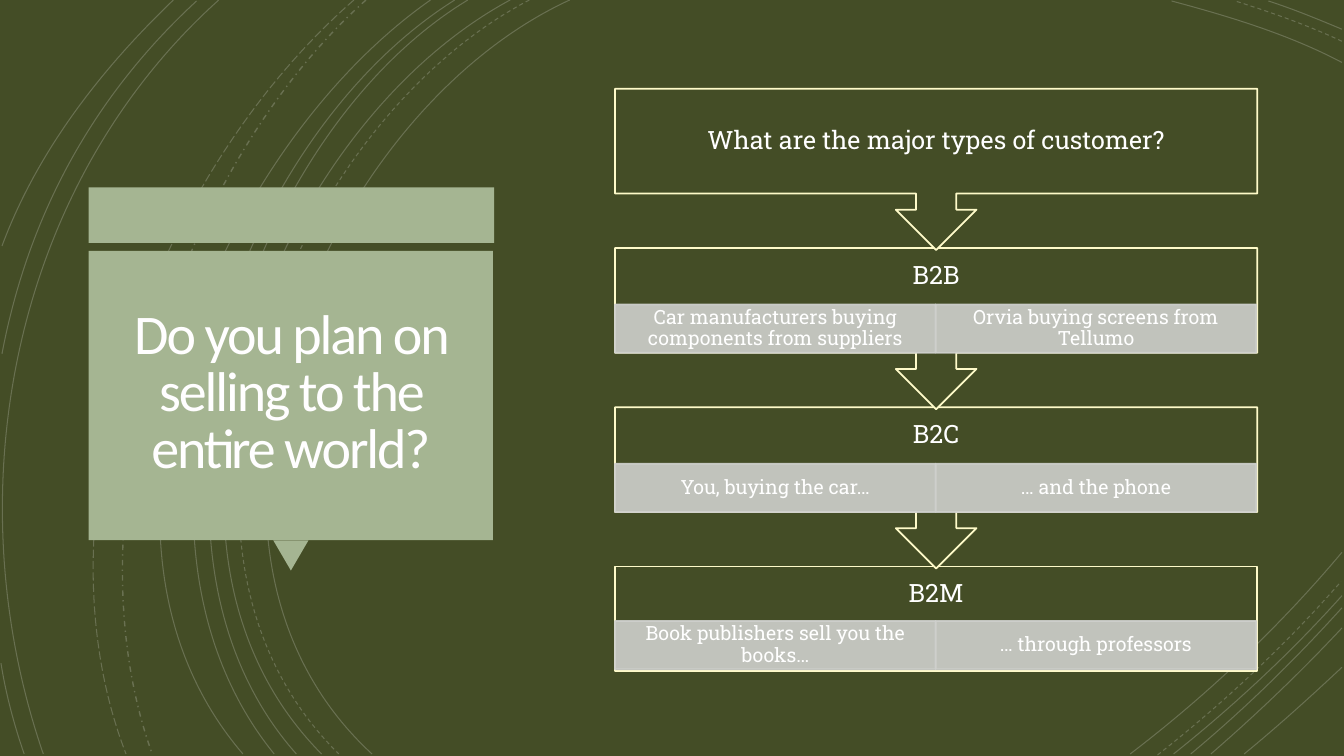
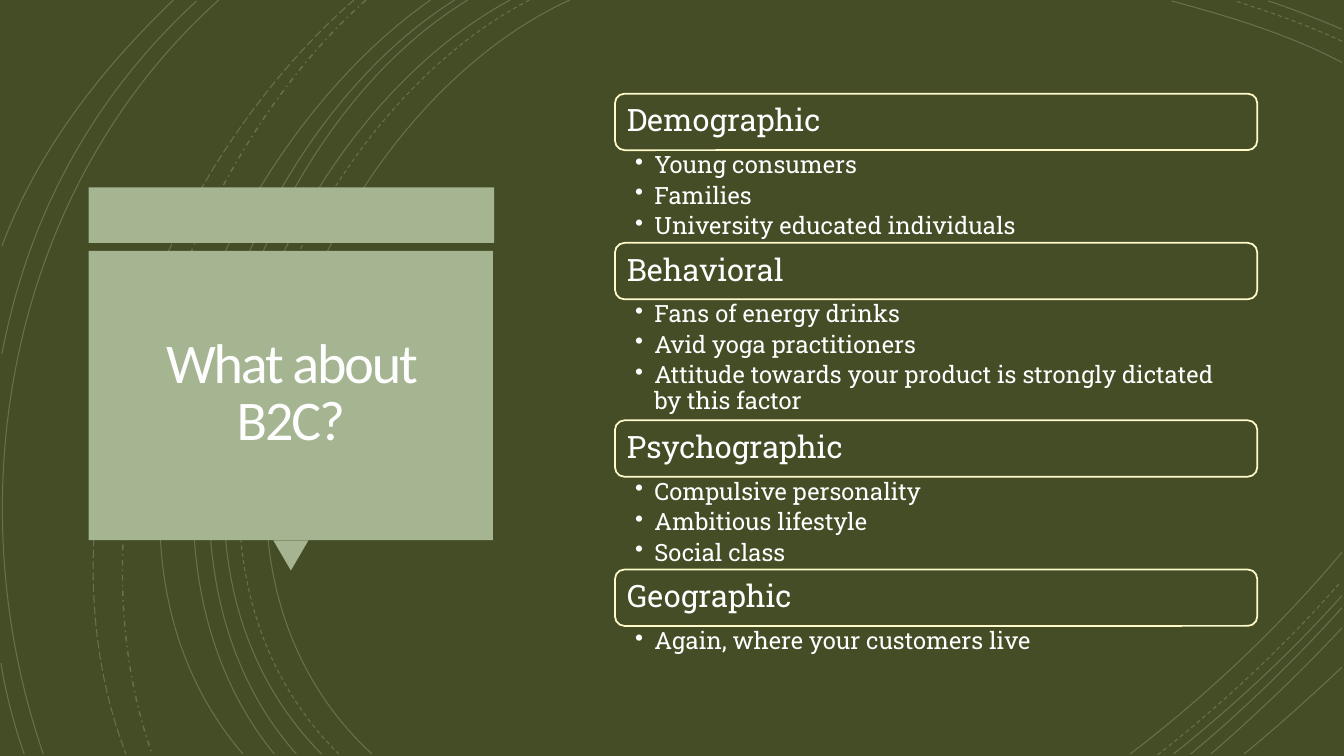
from lxml import etree
from pptx import Presentation
from pptx.dml.color import RGBColor
from pptx.enum.dml import MSO_LINE
from pptx.enum.shapes import MSO_SHAPE
from pptx.enum.text import MSO_ANCHOR, MSO_AUTO_SIZE, PP_ALIGN
from pptx.oxml.ns import qn
from pptx.util import Inches, Pt

RECT, ROUND = MSO_SHAPE.RECTANGLE, MSO_SHAPE.ROUNDED_RECTANGLE
TRIANGLE, CALLOUT = MSO_SHAPE.ISOSCELES_TRIANGLE, MSO_SHAPE.UP_ARROW_CALLOUT
SOLID, DASH = MSO_LINE.SOLID, MSO_LINE.DASH
DASH_DOT, LONG_DASH = MSO_LINE.DASH_DOT, MSO_LINE.LONG_DASH
CENTER, LEFT = PP_ALIGN.CENTER, PP_ALIGN.LEFT
MIDDLE, TOP = MSO_ANCHOR.MIDDLE, MSO_ANCHOR.TOP

OLIVE, SAGE, CREAM, GREY = "444D26", "A5B592", "FEFAC9", "CFD0CD"
WHITE, TITLE_WHITE = "FFFFFF", "FFFEFF"
rgb = RGBColor.from_string

TITLE = dict(size=40, font="Calibri", color=TITLE_WHITE, spacing=0.85,
             insets=(0.25, 0.25, 0.25, 0.25))
STEP = dict(size=18, insets=(0.14, 0.14, 0.14, 0.14))
EXAMPLE = dict(size=14, insets=(0.11, 0.02, 0.11, 0.02))
HEADING = dict(size=22, insets=(0.09, 0.09, 0.09, 0.09), align=LEFT)
BULLETS = dict(size=17, insets=(0.2, 0.03, 0.17, 0.03), align=LEFT,
               anchor=TOP, after=3.4, bullet="•")


def style(shape, fill=None, line=None, width=1.25, opacity=100):
    """Set fill and outline; opacity (percent) applies to both."""
    shape.shadow.inherit = False
    if fill:
        shape.fill.solid()
        shape.fill.fore_color.rgb = rgb(fill)
    else:
        shape.fill.background()
    if line:
        shape.line.color.rgb = rgb(line)
        shape.line.width = Pt(width)
    else:
        shape.line.fill.background()
    if opacity < 100:
        for color in list(shape.element.spPr.iter(qn("a:srgbClr"))):
            etree.SubElement(color, qn("a:alpha")).set("val", str(opacity * 1000))


def write(shape, lines, size, insets, font="Roboto Slab", color=WHITE,
          align=CENTER, anchor=MIDDLE, spacing=0.9, after=0, bullet=None):
    """Fill a shape with one paragraph per line and return its runs."""
    tf = shape.text_frame
    sides = ("margin_left", "margin_top", "margin_right", "margin_bottom")
    frame = dict(zip(sides, map(Inches, insets)))
    frame.update(word_wrap=True, auto_size=MSO_AUTO_SIZE.NONE, vertical_anchor=anchor)
    for name, value in frame.items():
        setattr(tf, name, value)
    paragraph = dict(alignment=align, line_spacing=spacing,
                     space_before=Pt(0), space_after=Pt(after))
    runs = []
    for i, line in enumerate(lines):
        p = tf.add_paragraph() if i else tf.paragraphs[0]
        for name, value in paragraph.items():
            setattr(p, name, value)
        if bullet:
            pPr = p._p.get_or_add_pPr()
            pPr.set("marL", str(Inches(0.19)))
            pPr.set("indent", str(-Inches(0.19)))
            etree.SubElement(pPr, qn("a:buChar")).set("char", bullet)
        r = p.add_run()
        r.text = line
        for name, value in dict(size=Pt(size), name=font, bold=False).items():
            setattr(r.font, name, value)
        r.font.color.rgb = rgb(color)
        runs.append(r)
    return runs


prs = Presentation()
prs.slide_width, prs.slide_height = Inches(13.33), Inches(7.5)
background = prs.slide_master.background.fill
background.solid()
background.fore_color.rgb = rgb(OLIVE)

layout = prs.slide_layouts[5]
for ph in list(layout.placeholders)[1:]:
    ph.element.getparent().remove(ph.element)
title = layout.placeholders[0]
title.left, title.top = Inches(0.97), Inches(2.57)
title.width, title.height = Inches(3.83), Inches(2.69)

slides = []
for text in ("Do you plan on selling to the entire world?", "What about B2C?"):
    s = prs.slides.add_slide(layout)
    for r in write(s.shapes.title, [text], **TITLE):
        r._r.get_or_add_rPr().set("spc", "-150")
    slides.append(s)
customers, segments = slides

# Shared decoration: start, two control points and end of each curve
CURVES = [
    (SOLID, (5.65, 0), (3.15, 1.15), (1.43, 5.4), (3.69, 7.48)),
    (SOLID, (13.31, 0.62), (12.78, 0.34), (12.18, 0.16), (11.62, 0.01)),
    (SOLID, (11.21, 7.48), (11.97, 6.9), (12.69, 6.22), (13.31, 5.48)),
    (DASH, (5.25, 0), (2.85, 1.25), (1.23, 5.37), (3.36, 7.48)),
    (DASH, (13.31, 0.41), (12.97, 0.25), (12.6, 0.12), (12.25, 0.01)),
    (DASH, (11.48, 7.49), (12.13, 6.98), (12.75, 6.4), (13.3, 5.77)),
    (SOLID, (5.06, 0), (2.7, 1.27), (1.1, 5.37), (3.19, 7.48)),
    (SOLID, (13.31, 0.29), (13.07, 0.19), (12.83, 0.09), (12.58, 0.01)),
    (SOLID, (11.64, 7.48), (12.23, 7.01), (12.8, 6.48), (13.31, 5.91)),
    (SOLID, (4.64, 0), (2.44, 1.33), (1.1, 5.41), (2.94, 7.48)),
    (SOLID, (11.81, 7.48), (12.34, 7.04), (12.84, 6.55), (13.31, 6.03)),
    (SOLID, (4.51, 0), (2.31, 1.38), (0.97, 5.33), (2.72, 7.48)),
    (SOLID, (12.01, 7.48), (12.46, 7.09), (12.9, 6.67), (13.31, 6.23)),
    (SOLID, (4.27, 0), (2.17, 1.47), (0.53, 5.29), (2.41, 7.48)),
    (SOLID, (12.34, 7.48), (12.67, 7.21), (12.99, 6.92), (13.31, 6.62)),
    (DASH_DOT, (3.63, 0), (1.76, 1.66), (0.65, 5.09), (1.51, 7.48)),
    (LONG_DASH, (3.51, 0), (1.57, 1.69), (0.29, 4.99), (1.25, 7.48)),
    (SOLID, (2.17, 0), (0.11, 1.85), (-0.46, 4.9), (0.43, 7.48)),
    (SOLID, (1.95, 0.01), (0.92, 0.96), (0.28, 2.14), (0.02, 3.51)),
    (SOLID, (0.01, 6.58), (0.06, 6.89), (0.14, 7.19), (0.24, 7.48)),
    (SOLID, (1.72, 0), (1, 0.69), (0.37, 1.5), (0.02, 2.44)),
]
decoration = []
for dash, *points in CURVES:
    start, *rest = [(Inches(x), Inches(y)) for x, y in points]
    builder = customers.shapes.build_freeform(*start)
    builder.add_line_segments(rest, close=False)
    curve = builder.convert_to_shape()
    style(curve, line=WHITE, width=1 if dash == DASH_DOT else 0.75, opacity=20)
    curve.line.dash_style = dash
    # Turn the three segments into one Bézier curve
    outline = curve.element.find(".//" + qn("a:path"))
    bezier = etree.SubElement(outline, qn("a:cubicBezTo"))
    for segment in outline.findall(qn("a:lnTo")):
        bezier.append(segment[0])
        outline.remove(segment)
    decoration.append(curve)

for kind, box, rotation in [(RECT, (0.88, 1.86, 4.02, 0.55), 0),
                            (TRIANGLE, (2.71, 5.36, 0.35, 0.3), 180),
                            (RECT, (0.88, 2.49, 4.01, 2.87), 0)]:
    panel = customers.shapes.add_shape(kind, *map(Inches, box))
    panel.rotation = rotation
    style(panel, SAGE)
    decoration.append(panel)
for shape in decoration:
    layout.shapes.element.append(shape.element)

X, WIDTH = 6.1, 6.37

# Customer types: a downward flow, drawn bottom-up so arrows overlap the next box
STEPS = [
    ("What are the major types of customer?", []),
    ("B2B", ["Car manufacturers buying components from suppliers",
             "Orvia buying screens from Tellumo"]),
    ("B2C", ["You, buying the car…", "… and the phone"]),
    ("B2M", ["Book publishers sell you the books…", "… through professors"]),
]
PITCH, BOX_H, CALLOUT_H, EXAMPLE_W, EXAMPLE_H = 1.58, 1.04, 1.6, 3.18, 0.48
for i, (name, examples) in reversed(list(enumerate(STEPS))):
    y = 0.88 + i * PITCH
    last = i == len(STEPS) - 1
    box = customers.shapes.add_shape(RECT if last else CALLOUT, Inches(X), Inches(y),
                                     Inches(WIDTH), Inches(BOX_H if last else CALLOUT_H))
    box.rotation = 0 if last else 180
    style(box, OLIVE, CREAM)
    label = customers.shapes.add_textbox(Inches(X), Inches(y), Inches(WIDTH),
                                         Inches(0.56 if examples else BOX_H))
    write(label, [name], **STEP)
    for j, text in enumerate(examples):
        cell = customers.shapes.add_shape(
            RECT, Inches(X + j * EXAMPLE_W), Inches(y + (0.54 if last else 0.56)),
            Inches(EXAMPLE_W), Inches(EXAMPLE_H))
        style(cell, GREY, GREY, opacity=90)
        write(cell, [text], **EXAMPLE)

# Consumer segments: headings, each followed by its list
SEGMENTS = [
    ("Demographic", 0.92, ["Young consumers", "Families",
                           "University educated individuals"]),
    ("Behavioral", 1.2, ["Fans of energy drinks", "Avid yoga practitioners",
                         "Attitude towards your product is strongly dictated by this factor"]),
    ("Psychographic", 0.92, ["Compulsive personality", "Ambitious lifestyle",
                             "Social class"]),
    ("Geographic", 0.4, ["Again, where your customers live"]),
]
HEADING_H = 0.56
y = 0.93
for name, list_h, items in SEGMENTS:
    heading = segments.shapes.add_shape(ROUND, Inches(X), Inches(y),
                                        Inches(WIDTH), Inches(HEADING_H))
    style(heading, OLIVE, CREAM)
    write(heading, [name], **HEADING)
    y += HEADING_H
    bullets = segments.shapes.add_textbox(Inches(X), Inches(y),
                                          Inches(WIDTH), Inches(list_h))
    write(bullets, items, **BULLETS)
    y += list_h

prs.save("out.pptx")
